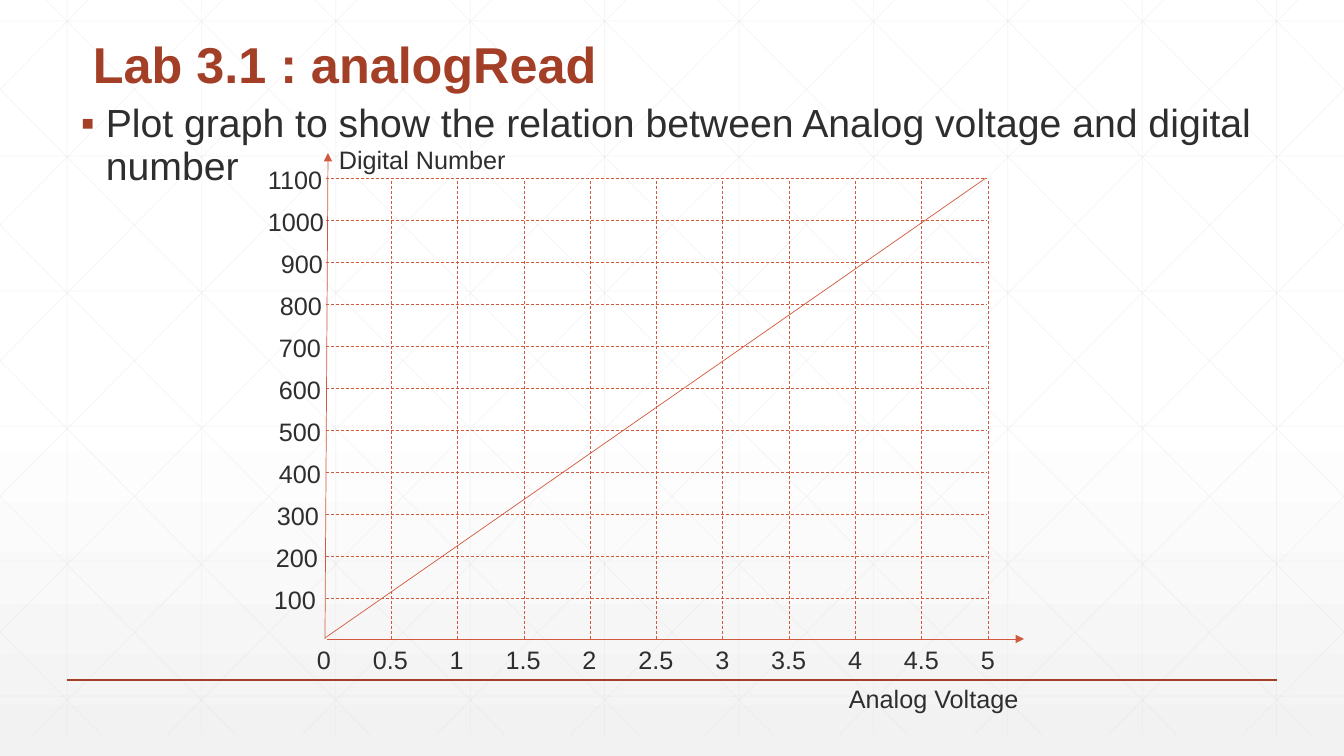
from dataclasses import dataclass

from lxml.etree import SubElement
from pptx import Presentation
from pptx.dml.color import RGBColor
from pptx.enum.dml import MSO_LINE_DASH_STYLE as Dash
from pptx.enum.shapes import MSO_CONNECTOR_TYPE as ConnectorType
from pptx.enum.text import MSO_VERTICAL_ANCHOR as Anchor
from pptx.oxml.ns import qn
from pptx.slide import Slide
from pptx.text.text import _Paragraph as Paragraph
from pptx.util import Emu, Pt

SLIDE_WIDTH, SLIDE_HEIGHT = 1344, 756
EMU_PER_PIXEL = 914400 / 100.8


@dataclass(frozen=True)
class Theme:
    font: str = "Arial"
    accent: str = "A43F27"
    graph: str = "D15A3E"
    text: str = "2D2E2D"
    lattice: str = "D9D9D9"
    background_top: str = "FFFFFF"
    background_bottom: str = "F2F2F2"
    title_size: int = 36
    body_size: int = 28
    label_size: int = 18
    thin: float = 0.5
    rule: float = 1


THEME = Theme()


@dataclass(frozen=True)
class Stroke:
    color: str
    width: float = THEME.thin
    dashed: bool = False
    arrow: bool = False
    opacity: int = 100


@dataclass(frozen=True)
class Line:
    x1: float
    y1: float
    x2: float
    y2: float
    stroke: Stroke


@dataclass(frozen=True)
class Label:
    text: str
    left: int
    top: int
    width: int
    height: int = 40
    size: int = THEME.label_size
    color: str = THEME.text
    bold: bool = False
    anchor: Anchor = Anchor.TOP


LATTICE = Stroke(THEME.lattice, opacity=25)
GRID = Stroke(THEME.graph, dashed=True)
AXIS = Stroke(THEME.graph, arrow=True)
PLOT = Stroke(THEME.graph)
RULE = Stroke(THEME.accent, THEME.rule)


def px(length: float) -> Emu:
    return Emu(round(length * EMU_PER_PIXEL))


def draw_line(slide: Slide, line: Line) -> None:
    connector = slide.shapes.add_connector(
        ConnectorType.STRAIGHT, px(line.x1), px(line.y1), px(line.x2), px(line.y2)
    )
    stroke = line.stroke
    connector.line.color.rgb = RGBColor.from_string(stroke.color)
    connector.line.width = Pt(stroke.width)
    if stroke.dashed:
        connector.line.dash_style = Dash.DASH
    properties = connector._element.spPr
    outline = properties.find(qn("a:ln"))
    if stroke.opacity < 100:
        color = outline.find(".//" + qn("a:srgbClr"))
        SubElement(color, qn("a:alpha"), val=str(stroke.opacity * 1000))
    if stroke.arrow:
        SubElement(outline, qn("a:tailEnd"), type="triangle")
    SubElement(properties, qn("a:effectLst"))


def draw_label(slide: Slide, label: Label) -> Paragraph:
    box = slide.shapes.add_textbox(
        px(label.left), px(label.top), px(label.width), px(label.height)
    )
    frame = box.text_frame
    frame.word_wrap = True
    frame.vertical_anchor = label.anchor
    paragraph = frame.paragraphs[0]
    run = paragraph.add_run()
    run.text = label.text
    run.font.name = THEME.font
    run.font.size = Pt(label.size)
    run.font.bold = label.bold
    run.font.color.rgb = RGBColor.from_string(label.color)
    return paragraph


def add_bullet(paragraph: Paragraph, indent: int) -> None:
    properties = paragraph._p.get_or_add_pPr()
    properties.set("marL", str(px(indent)))
    properties.set("indent", str(-px(indent)))
    color = SubElement(properties, qn("a:buClr"))
    SubElement(color, qn("a:srgbClr"), val=THEME.accent)
    SubElement(properties, qn("a:buFont"), typeface=THEME.font)
    SubElement(properties, qn("a:buChar"), char="▪")


def add_center_tabs(paragraph: Paragraph, positions: list[float]) -> None:
    tabs = SubElement(paragraph._p.get_or_add_pPr(), qn("a:tabLst"))
    for position in positions:
        SubElement(tabs, qn("a:tab"), pos=str(px(position)), algn="ctr")


def paint_background(slide: Slide) -> None:
    fill = slide.background.fill
    fill.gradient()
    fill.gradient_angle = 270
    stops = ((0.53, THEME.background_top), (1, THEME.background_bottom))
    for stop, (position, color) in zip(fill.gradient_stops, stops):
        stop.position = position
        stop.color.rgb = RGBColor.from_string(color)


def draw_lattice(slide: Slide) -> None:
    bottom, pitch, slope = 735, 134.4, 0.99
    for column in range(10):
        x = 67 + pitch * column
        draw_line(slide, Line(x, 0, x, bottom, LATTICE))
    for row in range(6):
        y = 21 + 135 * row
        draw_line(slide, Line(0, y, SLIDE_WIDTH, y, LATTICE))
    for step in range(-5, 10):
        start = 46 + pitch * step
        y1 = max(0, -start / slope)
        y2 = min(bottom, (SLIDE_WIDTH - start) / slope)
        x1, x2 = start + slope * y1, start + slope * y2
        draw_line(slide, Line(x1, y1, x2, y2, LATTICE))
        draw_line(slide, Line(SLIDE_WIDTH - x1, y1, SLIDE_WIDTH - x2, y2, LATTICE))


def draw_graph(slide: Slide) -> None:
    column_pitch, row_pitch = 66.3, 42
    draw_line(slide, Line(325, 639, 328, 153, AXIS))
    draw_line(slide, Line(327, 639, 1024, 639, AXIS))
    for column in range(1, 11):
        x = 325 + column_pitch * column
        draw_line(slide, Line(x, 639, x, 180, GRID))
    number_lefts = (264, 266, 267, 269, 269, 269, 269, 270, 271, 258, 258)
    for row, left in enumerate(number_lefts, start=1):
        y = 640 - row_pitch * row
        draw_line(slide, Line(326, y, 987, y, GRID))
        width = 78 if row >= 10 else 64
        draw_label(slide, Label(str(row * 100), left, y - 19, width))
    voltages = "".join(f"\t{step / 2:g}" for step in range(11))
    paragraph = draw_label(slide, Label(voltages, 300, 639, 724))
    add_center_tabs(paragraph, [14 + 66.4 * step for step in range(11)])
    draw_label(slide, Label("Analog Voltage", 839, 678, 217))
    draw_label(slide, Label("Digital Number", 329, 139, 220))
    draw_line(slide, Line(325, 638, 986, 178, PLOT))


def main() -> None:
    presentation = Presentation()
    presentation.slide_width = px(SLIDE_WIDTH)
    presentation.slide_height = px(SLIDE_HEIGHT)
    slide = presentation.slides.add_slide(presentation.slide_layouts[6])
    paint_background(slide)
    draw_lattice(slide)
    draw_line(slide, Line(67, 680, 1277, 680, RULE))
    title = draw_label(slide, Label(
        "Lab 3.1 : analogRead", 83, 12, 1058, 87,
        THEME.title_size, THEME.accent, True, Anchor.BOTTOM,
    ))
    title.line_spacing = 0.9
    task = draw_label(slide, Label(
        "Plot graph to show the relation between Analog voltage and digital number",
        71, 99, 1203, 568, THEME.body_size,
    ))
    task.line_spacing = 0.9
    task.space_before = Pt(18)
    add_bullet(task, 25)
    draw_graph(slide)
    presentation.save("out.pptx")


main()
